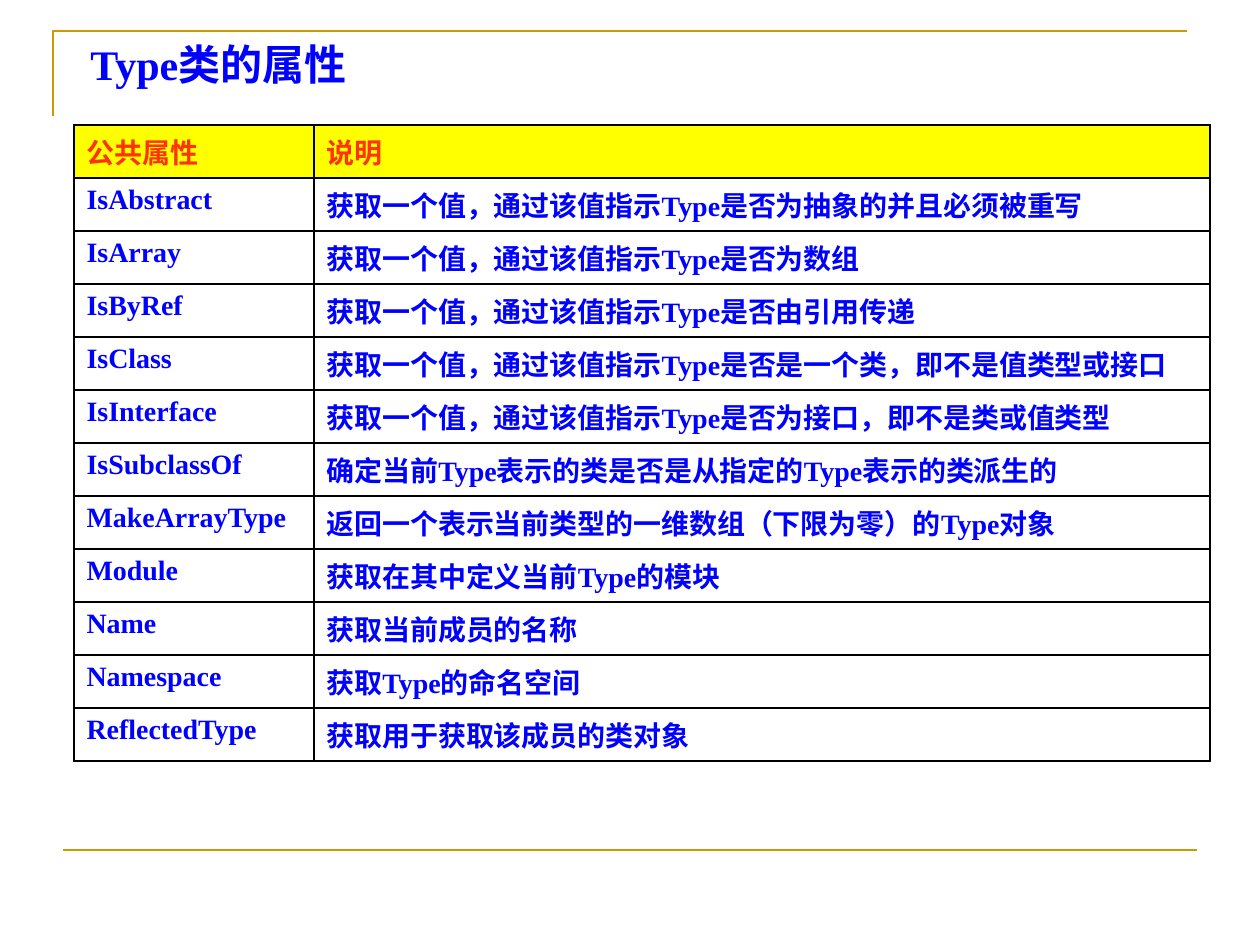
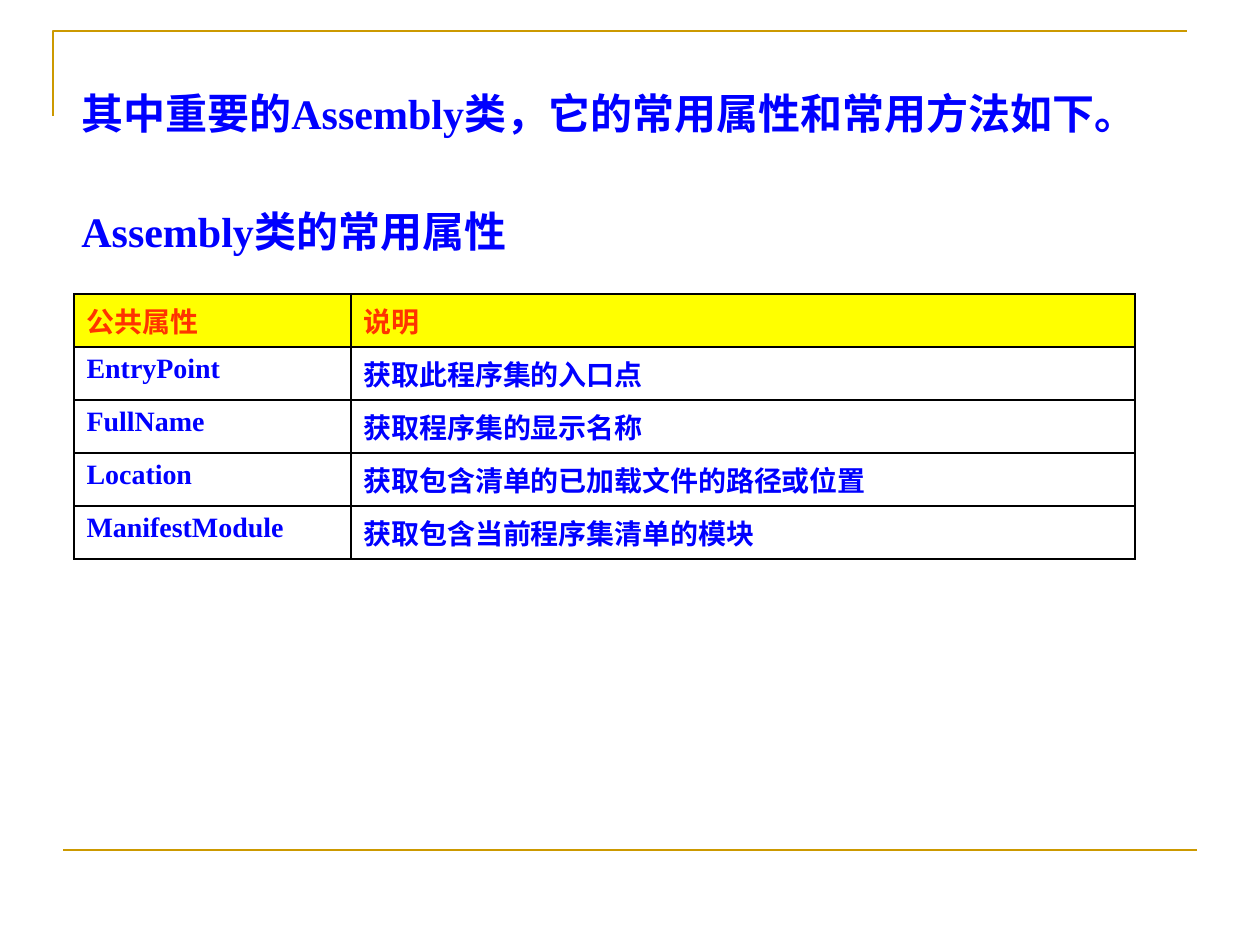
from lxml.etree import SubElement
from pptx import Presentation
from pptx.dml.color import RGBColor
from pptx.enum.lang import MSO_LANGUAGE_ID as Language
from pptx.enum.shapes import MSO_CONNECTOR as Connector
from pptx.oxml.ns import qn
from pptx.util import Pt

EMU_PER_PX = 914400 / 126
COLORS = {
    "frame": "CC9900",
    "header_fill": "FFFF00",
    "header_text": "FF3300",
    "text": "0000FF",
    "border": "000000",
}
FONT = "Times New Roman"
FRAME_WIDTH = Pt(1.5)
ROW_HEIGHT = 53
HEADER = ("公共属性", "说明")

SLIDES = [
    {
        "titles": [("Type类的属性", 78, 39, 437)],
        "table_top": 125,
        "columns": (240, 896),
        "rows": [
            ("IsAbstract", "获取一个值，通过该值指示Type是否为抽象的并且必须被重写"),
            ("IsArray", "获取一个值，通过该值指示Type是否为数组"),
            ("IsByRef", "获取一个值，通过该值指示Type是否由引用传递"),
            ("IsClass", "获取一个值，通过该值指示Type是否是一个类，即不是值类型或接口"),
            ("IsInterface", "获取一个值，通过该值指示Type是否为接口，即不是类或值类型"),
            ("IsSubclassOf", "确定当前Type表示的类是否是从指定的Type表示的类派生的"),
            ("MakeArrayType", "返回一个表示当前类型的一维数组（下限为零）的Type对象"),
            ("Module", "获取在其中定义当前Type的模块"),
            ("Name", "获取当前成员的名称"),
            ("Namespace", "获取Type的命名空间"),
            ("ReflectedType", "获取用于获取该成员的类对象"),
        ],
    },
    {
        "titles": [
            ("其中重要的Assembly类，它的常用属性和常用方法如下。", 69, 88, 1152),
            ("Assembly类的常用属性", 69, 206, 595),
        ],
        "table_top": 294,
        "columns": (277, 784),
        "rows": [
            ("EntryPoint", "获取此程序集的入口点"),
            ("FullName", "获取程序集的显示名称"),
            ("Location", "获取包含清单的已加载文件的路径或位置"),
            ("ManifestModule", "获取包含当前程序集清单的模块"),
        ],
    },
]


def px(length):
    return round(length * EMU_PER_PX)


def write_text(frame, text, size=16, color="text"):
    run = frame.paragraphs[0].add_run()
    run.text = text
    font = run.font
    font.name = FONT
    font.size = Pt(size)
    font.bold = True
    font.language_id = Language.SIMPLIFIED_CHINESE
    font.color.rgb = RGBColor.from_string(COLORS[color])


presentation = Presentation()
presentation.slide_width = px(1260)
presentation.slide_height = px(945)
frame_color = RGBColor.from_string(COLORS["frame"])

for content in SLIDES:
    slide = presentation.slides.add_slide(presentation.slide_layouts[6])

    builder = slide.shapes.build_freeform(px(53), px(116))
    builder.add_line_segments([(px(53), px(31)), (px(1187), px(31))], close=False)
    corner = builder.convert_to_shape()
    corner.shadow.inherit = False
    corner.fill.background()
    footer = slide.shapes.add_connector(
        Connector.STRAIGHT, px(63), px(850), px(1197), px(850)
    )
    SubElement(footer._element.spPr, qn("a:effectLst"))
    for shape in (corner, footer):
        shape.line.color.rgb = frame_color
        shape.line.width = FRAME_WIDTH
    
    rows = [HEADER] + content["rows"]
    columns = content["columns"]
    table = slide.shapes.add_table(
        len(rows), len(columns), px(74), px(content["table_top"]),
        px(sum(columns)), px(ROW_HEIGHT * len(rows)),
    ).table
    for column, width in zip(table.columns, columns):
        column.width = px(width)

    for row_index, texts in enumerate(rows):
        table.rows[row_index].height = px(ROW_HEIGHT)
        for column_index, text in enumerate(texts):
            cell = table.cell(row_index, column_index)
            properties = cell._tc.get_or_add_tcPr()
            for side in ("a:lnL", "a:lnR", "a:lnT", "a:lnB"):
                border = SubElement(properties, qn(side), w=str(Pt(1)))
                border_fill = SubElement(border, qn("a:solidFill"))
                SubElement(border_fill, qn("a:srgbClr"), val=COLORS["border"])
            if row_index == 0:
                cell.fill.solid()
                cell.fill.fore_color.rgb = RGBColor.from_string(COLORS["header_fill"])
                write_text(cell.text_frame, text, color="header_text")
            else:
                cell.fill.background()
                write_text(cell.text_frame, text)

    for text, left, top, width in content["titles"]:
        title = slide.shapes.add_textbox(px(left), px(top), px(width), px(63))
        title.text_frame.word_wrap = True
        title.text_frame.margin_top = 0
        write_text(title.text_frame, text, size=24)

presentation.save("out.pptx")
